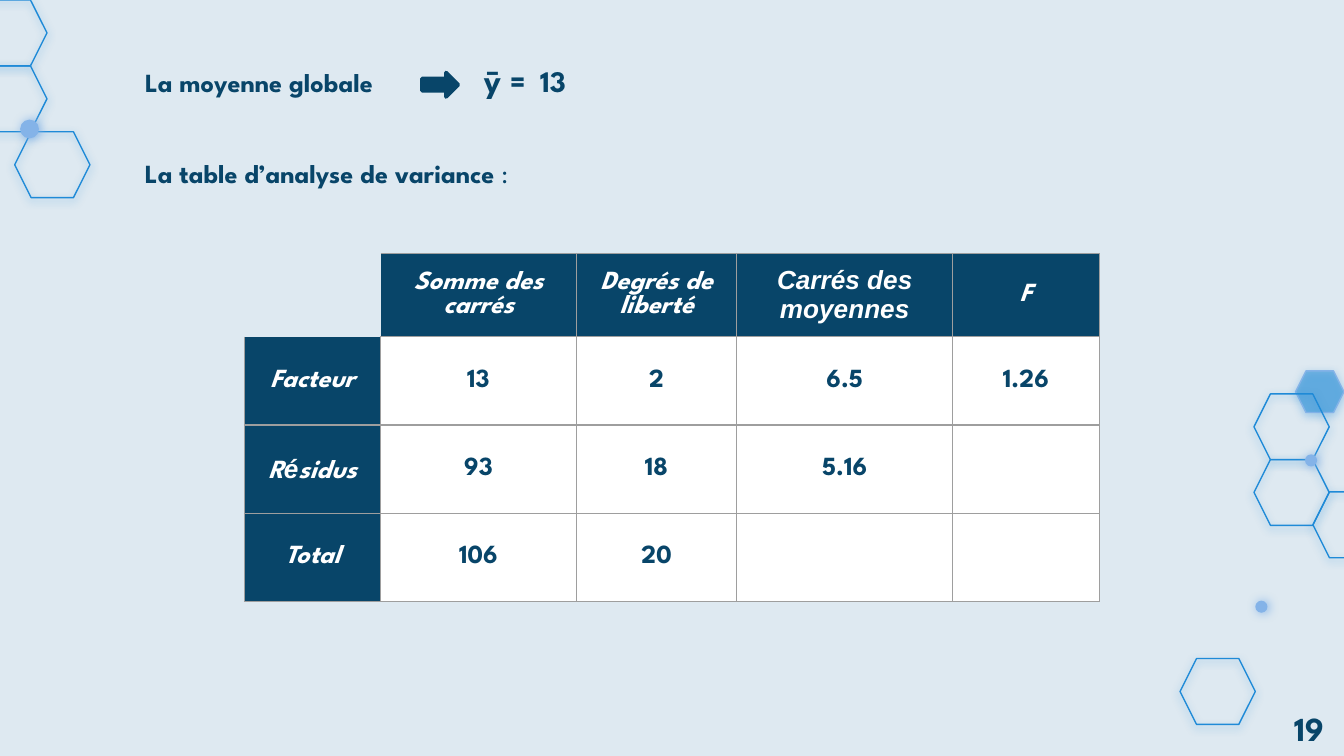
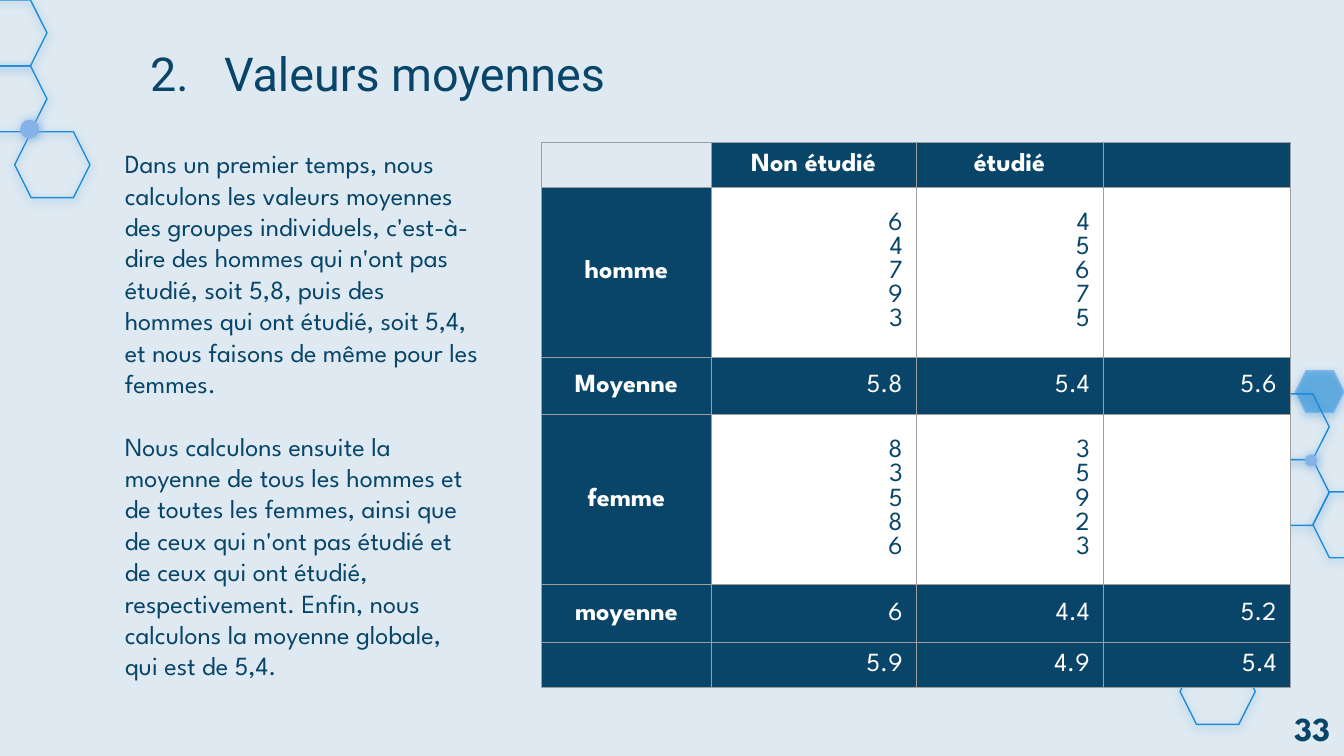
"""Build two statistics slides: an analysis of variance table and a table of group means."""
from lxml.etree import SubElement
from pptx import Presentation
from pptx.dml.color import RGBColor
from pptx.enum.shapes import MSO_SHAPE as Shape
from pptx.enum.text import MSO_ANCHOR as Anchor, PP_ALIGN as Align
from pptx.oxml.ns import qn
from pptx.util import Pt

NAVY = RGBColor(0x08, 0x45, 0x69)
BLUE = RGBColor(0x1F, 0x8A, 0xD7)
SKY = RGBColor(0x84, 0xB3, 0xE8)
PALE = RGBColor(0xDE, 0xE9, 0xF1)
WHITE = RGBColor(0xFF, 0xFF, 0xFF)
GREY = RGBColor(0x9E, 0x9E, 0x9E)
MAIN_FONT, TITLE_FONT, PLAIN_FONT = "League Spartan", "Roboto", "Arial"
LINE_RATIO = 1.2

HEXAGON_SIZE = (40.3, 35.3)
HEXAGONS = [(671.8, 246.2), (703.4, 263.5), (671.8, 211), (-15.1, 35.3),
            (-15.1, 0), (7.9, 70.6), (632.2, 352.8)]
DOTS = [(699.1, 243.4, 6.5), (672.5, 321.8, 6.5), (10.8, 64.1, 10.1)]

VARIANCE_ROWS = [
    ["", "Somme des carrés", "Degrés de liberté", [("Carrés des moyennes", PLAIN_FONT)], "F"],
    ["Facteur", "13", "2", "6.5", "1.26"],
    [["R", ("é", PLAIN_FONT), "sidus"], "93", "18", "5.16", ""],
    ["Total", "106", "20", "", ""],
]
MEANS_ROWS = [
    ["", "Non étudié", "étudié", ""],
    ["homme", "6\n4\n7\n9\n3", "4\n5\n6\n7\n5", ""],
    ["Moyenne", "5.8", "5.4", "5.6"],
    ["femme", "8\n3\n5\n8\n6", "3\n5\n9\n2\n3", ""],
    ["moyenne", "6", "4.4", "5.2"],
    ["", "5.9", "4.9", "5.4"],
]
EXPLANATION = [
    "Dans un premier temps, nous calculons les valeurs moyennes des groupes individuels, "
    "c'est-à-dire des hommes qui n'ont pas étudié, soit 5,8, puis des hommes qui ont étudié, "
    "soit 5,4, et nous faisons de même pour les femmes.",
    "Nous calculons ensuite la moyenne de tous les hommes et de toutes les femmes, ainsi que "
    "de ceux qui n'ont pas étudié et de ceux qui ont étudié, respectivement. Enfin, nous "
    "calculons la moyenne globale, qui est de 5,4.",
]


def add_shadow(shape, color, alpha, blur, distance, angle):
    """Give the shape a soft outer shadow."""
    shape.shadow.inherit = False
    effects = shape._element.spPr.find(qn("a:effectLst"))
    outer = SubElement(effects, qn("a:outerShdw"), blurRad=str(Pt(blur)), dist=str(Pt(distance)),
                       dir=str(angle * 60000), algn="bl", rotWithShape="0")
    tint = SubElement(outer, qn("a:srgbClr"), val=str(color))
    SubElement(tint, qn("a:alpha"), val=str(alpha * 1000))


def add_hexagon(page, left, top, width, height, alpha=None):
    """Draw an outlined hexagon, filled only when an opacity in percent is given."""
    hexagon = page.shapes.add_shape(Shape.HEXAGON, Pt(left), Pt(top), Pt(width), Pt(height))
    hexagon.line.width = Pt(0.75)
    if alpha is None:
        hexagon.fill.background()
        hexagon.line.color.rgb = BLUE
    else:
        hexagon.fill.solid()
        hexagon.fill.fore_color.rgb = BLUE
        tint = hexagon._element.spPr.find(qn("a:solidFill"))[0]
        SubElement(tint, qn("a:alpha"), val=str(alpha * 1000))
        hexagon.line.color.rgb = SKY
    add_shadow(hexagon, BLUE, 50, 4.5, 1.5, 90)


def add_dot(page, left, top, size):
    """Draw a glowing dot."""
    dot = page.shapes.add_shape(Shape.OVAL, Pt(left), Pt(top), Pt(size), Pt(size))
    dot.fill.solid()
    dot.fill.fore_color.rgb = SKY
    dot.line.fill.background()
    add_shadow(dot, SKY, 100, 5.6, 0.8, 11)


def add_arrow(page, left, top, width, height):
    """Draw a solid arrow pointing right."""
    arrow = page.shapes.add_shape(Shape.RIGHT_ARROW, Pt(left), Pt(top), Pt(width), Pt(height))
    arrow.shadow.inherit = False
    arrow.fill.solid()
    arrow.fill.fore_color.rgb = NAVY
    arrow.line.color.rgb = NAVY
    arrow.line.width = Pt(2)


def style_font(font, size, color, bold=False, italic=False, name=MAIN_FONT):
    """Set every font property used in the deck."""
    font.name, font.size, font.bold, font.italic = name, Pt(size), bold, italic
    font.color.rgb = color


def add_tabs(para, stops):
    """Add left tab stops, in points, to a paragraph."""
    tabs = SubElement(para._p.get_or_add_pPr(), qn("a:tabLst"))
    for stop in stops:
        SubElement(tabs, qn("a:tab"), pos=str(Pt(stop)), algn="l")


def add_text(page, left, top, width, height, texts, size=14, bold=False, name=MAIN_FONT,
             tabs=(), gap=0):
    """Add a wrapped text box with one paragraph per text and return it."""
    box = page.shapes.add_textbox(Pt(left), Pt(top), Pt(width), Pt(height))
    frame = box.text_frame
    frame.word_wrap = True
    for index, text in enumerate(texts):
        para = frame.add_paragraph() if index else frame.paragraphs[0]
        para.line_spacing = Pt(size * LINE_RATIO)
        if index:
            para.space_before = Pt(gap)
        if tabs:
            add_tabs(para, tabs)
        para.add_run().text = text
        style_font(para.font, size, NAVY, bold, name=name)
    return box


def set_borders(cell, sides):
    """Draw grey borders on the named sides and none on the others."""
    properties = cell._tc.get_or_add_tcPr()
    for index, side in enumerate("LRTB"):
        line = SubElement(properties, qn(f"a:ln{side}"), w=str(Pt(0.75)))
        if side in sides:
            SubElement(SubElement(line, qn("a:solidFill")), qn("a:srgbClr"), val=str(GREY))
        else:
            SubElement(line, qn("a:noFill"))
        properties.insert(index, line)


def fill_cell(cell, content, align, color, bold, italic):
    """Write a string, or a list of spans with their own fonts, into a cell."""
    cell.vertical_anchor = Anchor.MIDDLE
    cell.margin_top = cell.margin_bottom = Pt(1)
    lines = content.split("\n") if isinstance(content, str) else [content]
    for index, line in enumerate(lines):
        para = cell.text_frame.add_paragraph() if index else cell.text_frame.paragraphs[0]
        para.alignment = align
        for piece in ([line] if isinstance(line, str) else line):
            text, name = (piece, None) if isinstance(piece, str) else piece
            if text:
                span = para.add_run()
                span.text = text
                span.font.name = name
        style_font(para.font, 14, color, bold, italic)


def add_grid(page, left, top, widths, heights, rows, dark_rows=(0,), value_align=Align.CENTER,
             bold_values=False, italic_heads=False, borders=None):
    """Add a table with dark heads, an open corner and optional border exceptions."""
    table = page.shapes.add_table(len(rows), len(widths), Pt(left), Pt(top),
                                  Pt(sum(widths)), Pt(sum(heights))).table
    table.first_row = table.horz_banding = False
    for column, width in zip(table.columns, widths):
        column.width = Pt(width)
    for row, height in zip(table.rows, heights):
        row.height = Pt(height)
    for r, contents in enumerate(rows):
        for c, content in enumerate(contents):
            cell = table.cell(r, c)
            head = r == 0 or c == 0
            dark = c == 0 or r in dark_rows
            if r == c == 0:
                cell.fill.background()
            else:
                cell.fill.solid()
                cell.fill.fore_color.rgb = NAVY if dark else WHITE
            set_borders(cell, (borders or {}).get((r, c), "LRTB"))
            fill_cell(cell, content, Align.CENTER if head else value_align,
                      WHITE if dark else NAVY, head or bold_values, head and italic_heads)


def add_page(deck):
    """Add a blank page with the shared hexagon decoration."""
    page = deck.slides.add_slide(deck.slide_layouts[6])
    page.background.fill.solid()
    page.background.fill.fore_color.rgb = PALE
    add_hexagon(page, 694.1, 198.7, 25.9, 22.3, alpha=53)
    for left, top in HEXAGONS:
        add_hexagon(page, left, top, *HEXAGON_SIZE)
    for dot in DOTS:
        add_dot(page, *dot)
    return page


def add_number(page, number):
    """Write the page number in the bottom right corner."""
    add_text(page, 686.2, 375.8, 45, 29, [number], size=18, bold=True)


def build_variance(deck):
    """Build the page with the analysis of variance table."""
    page = add_page(deck)
    add_grid(page, 131, 135.8, [72.9, 105, 85.8, 115.8, 78.4], [44.6] + [47.3] * 3,
             VARIANCE_ROWS, bold_values=True, italic_heads=True,
             borders={(0, 0): "", (0, 1): "RTB", (1, 0): "LRB"})
    heading = add_text(page, 70.6, 74.2, 219, 53, ["La table d’analyse de variance"], bold=True)
    heading.text_frame.margin_top = Pt(10)
    colon = heading.text_frame.paragraphs[0].add_run()
    colon.text = " :"
    colon.font.bold = False
    mean = add_text(page, 70.6, 28.1, 433, 29, ["La moyenne globale\t"], bold=True,
                    tabs=(181.6, 211.6))
    para = mean.text_frame.paragraphs[0]
    para.line_spacing = Pt(18 * LINE_RATIO)
    for text, size in (("ȳ ", 18), ("=\t13", 16)):
        span = para.add_run()
        span.text = text
        span.font.size = Pt(size)
    add_arrow(page, 226.1, 38.9, 19.4, 13)
    add_number(page, "19")


def build_means(deck):
    """Build the page with the table of group means."""
    page = add_page(deck)
    title = add_text(page, 73.4, 15.8, 607, 45.4, ["2.\tValeurs moyennes"], size=25,
                     name=TITLE_FONT, tabs=(39.6,))
    title.text_frame.vertical_anchor = Anchor.BOTTOM
    title.text_frame.margin_bottom = Pt(7.2)
    add_text(page, 59.8, 75.6, 203.8, 329, EXPLANATION, gap=14 * LINE_RATIO)
    add_grid(page, 290.2, 76.2, [90.8, 109.8, 100.2, 100.2], [24.1, 91.1, 30.9, 91.1, 30.9, 24.1],
             MEANS_ROWS, dark_rows=(0, 2, 4, 5), value_align=Align.RIGHT)
    add_number(page, "33")


def main():
    """Create the deck and save it."""
    deck = Presentation()
    deck.slide_width, deck.slide_height = Pt(720), Pt(405)
    build_variance(deck)
    build_means(deck)
    deck.save("out.pptx")


if __name__ == "__main__":
    main()
